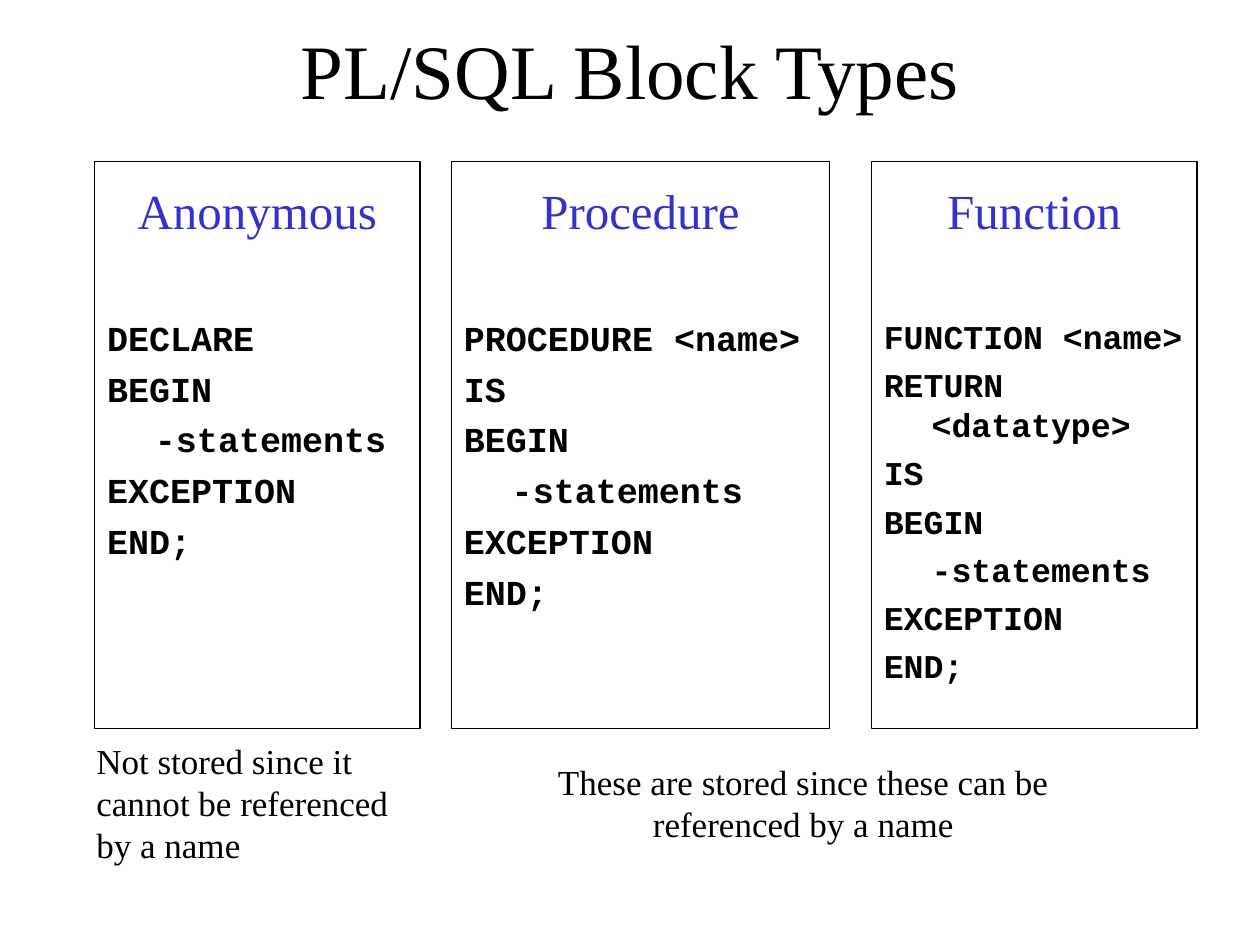
from dataclasses import dataclass

from pptx import Presentation
from pptx.dml.color import RGBColor
from pptx.enum.shapes import MSO_SHAPE
from pptx.enum.text import MSO_ANCHOR, MSO_AUTO_SIZE, PP_ALIGN
from pptx.oxml.ns import qn
from pptx.util import Inches, Pt

LEFT, CENTER = PP_ALIGN.LEFT, PP_ALIGN.CENTER
TOP, MIDDLE = MSO_ANCHOR.TOP, MSO_ANCHOR.MIDDLE
NO_FIT, RECT = MSO_AUTO_SIZE.NONE, MSO_SHAPE.RECTANGLE


@dataclass(frozen=True)
class Theme:
    black: RGBColor = RGBColor(0x00, 0x00, 0x00)
    blue: RGBColor = RGBColor(0x33, 0x33, 0xCC)
    serif: str = "Times New Roman"
    mono: str = "Courier New"
    title: int = 44
    heading: int = 28
    caption: int = 20
    border: float = 0.75


THEME = Theme()
UNIT = Inches(10) / 120
TITLE = ("PL/SQL Block Types", (9, -1, 102, 15))
PANEL_TOP, PANEL_HEIGHT = 15.4, 54
PANELS = [
    ("Anonymous", 9, 31, 20,
     ["DECLARE", "BEGIN", "\t-statements", "EXCEPTION", "END;"]),
    ("Procedure", 43, 36, 20,
     ["PROCEDURE <name>", "IS", "BEGIN", "\t-statements", "EXCEPTION", "END;"]),
    ("Function", 83, 31, 19,
     ["FUNCTION <name>", "RETURN <datatype>", "IS", "BEGIN", "\t-statements",
      "EXCEPTION", "END;"]),
]
CAPTIONS = [
    ("Not stored since it cannot be referenced by a name", (8, 69, 31, 13.2), LEFT),
    ("These are stored since these can be referenced by a name",
     (45, 71, 63, 9.2), CENTER),
]


def grid(*cells):
    """Convert grid units to slide lengths."""
    return [round(cell * UNIT) for cell in cells]


def place(sp, cells):
    """Move a placeholder to a grid area."""
    sp.left, sp.top, sp.width, sp.height = grid(*cells)


def frame(sp, top=0.05, anchor=TOP):
    """Prepare the text frame of a shape."""
    tf = sp.text_frame
    tf.word_wrap, tf.auto_size, tf.vertical_anchor = True, NO_FIT, anchor
    tf.margin_left = tf.margin_right = Inches(0.1)
    tf.margin_top, tf.margin_bottom = Inches(top), Inches(0.05)
    return tf


def write(p, text, size, align=LEFT, font=THEME.serif, color=THEME.black,
          bold=False, before=0, hang=0):
    """Write one formatted paragraph with an optional hanging indent."""
    pPr = p._p.get_or_add_pPr()
    pPr.set("marL", str(Inches(hang)))
    pPr.set("indent", str(-Inches(hang)))
    pPr.append(pPr.makeelement(qn("a:buNone"), {}))
    p.alignment, p.space_before = align, Pt(before)
    r = p.add_run()
    r.text = text
    r.font.name, r.font.size, r.font.bold = font, Pt(size), bold
    r.font.color.rgb = color


def fill_panel(sp, heading, size, code):
    """Outline a panel and write its heading and code."""
    sp.fill.background()
    sp.line.color.rgb, sp.line.width = THEME.black, Pt(THEME.border)
    tf = frame(sp, top=0.15)
    write(tf.paragraphs[0], heading, THEME.heading, CENTER, color=THEME.blue)
    for i, line in enumerate(code):
        write(tf.add_paragraph(), line, size, font=THEME.mono, bold=True,
              before=size / 4 if i else 44, hang=0.38)


def main():
    """Build the slide."""
    prs = Presentation()
    prs.slide_width, prs.slide_height = Inches(10), Inches(7.5)
    s = prs.slides.add_slide(prs.slide_layouts[1])
    text, cells = TITLE
    place(s.shapes.title, cells)
    tf = frame(s.shapes.title, anchor=MIDDLE)
    write(tf.paragraphs[0], text, THEME.title, CENTER)

    for i, (heading, left, width, size, code) in enumerate(PANELS):
        cells = (left, PANEL_TOP, width, PANEL_HEIGHT)
        if i == 0:
            sp = s.placeholders[1]
            place(sp, cells)
        else:
            sp = s.shapes.add_shape(RECT, *grid(*cells))
            sp.shadow.inherit = False
        fill_panel(sp, heading, size, code)

    for text, cells, align in CAPTIONS:
        tf = frame(s.shapes.add_textbox(*grid(*cells)), top=0.12)
        write(tf.paragraphs[0], text, THEME.caption, align)
    prs.save("out.pptx")


if __name__ == "__main__":
    main()
